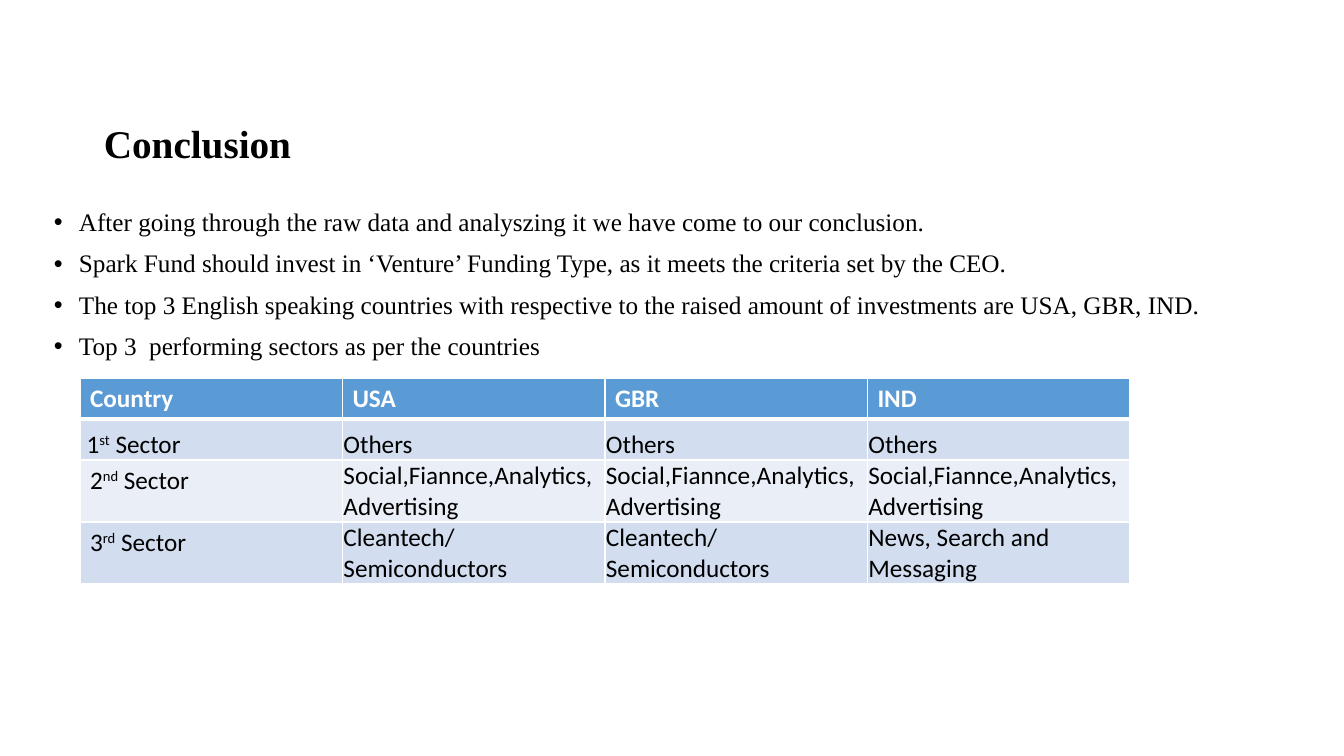
from lxml.etree import SubElement
from pptx import Presentation
from pptx.dml.color import RGBColor
from pptx.enum.text import MSO_ANCHOR
from pptx.oxml.ns import qn
from pptx.util import Emu, Pt

# Content: a paragraph is a list of (text, format) runs
TITLE = [(" ", {"size": 40}), ("Conclusion", {"size": 28})]
FINDINGS = [
    "After going through the raw data and analyszing it we have come to our conclusion.",
    "Spark Fund should invest in ‘Venture’ Funding Type, as it meets the criteria set by the CEO.",
    "The top 3 English speaking countries with respective to the raised amount of investments are USA, GBR, IND.",
    "Top 3  performing sectors as per the countries",
]
COUNTRIES = ["Country", "USA", "GBR", "IND"]
SOCIAL = "Social,Fiannce,Analytics,Advertising"
CLEANTECH = "Cleantech/Semiconductors"
SECTORS = [
    (" 1", "st", ["Others"] * 3),
    ("2", "nd", [SOCIAL] * 3),
    ("3", "rd", [CLEANTECH, CLEANTECH, "News, Search and Messaging"]),
]

# Format
SERIF, SANS = "Times New Roman", "Calibri"
BLACK = RGBColor(0x00, 0x00, 0x00)
WHITE = RGBColor(0xFF, 0xFF, 0xFF)
HEADER_BLUE = RGBColor(0x5B, 0x9B, 0xD5)
BAND_BLUES = [RGBColor(0xD2, 0xDE, 0xEF), RGBColor(0xEA, 0xEF, 0xF7)]

# Layout in pixels
SLIDE_SIZE = (1344, 756)
TITLE_BOX = (80, 93, 1027, 95)
FINDINGS_BOX = (44, 205, 1231, 479)
TABLE_BOX = (80, 378, 1050, 206)
ROW_HEIGHTS = [41, 41, 62, 62]
BULLET_INDENT = 25


def px(pixels):
    return Emu(round(pixels * 914400 / 100.8))


def write(para, text, font=SERIF, size=18, color=BLACK, bold=False, superscript=False):
    span = para.add_run()
    span.text = text
    span.font.name, span.font.size, span.font.bold = font, Pt(size), bold
    span.font.color.rgb = color
    if superscript:
        span._r.get_or_add_rPr().set("baseline", "30000")


def add_box(page, place, anchor):
    frame = page.shapes.add_textbox(*map(px, place)).text_frame
    frame.word_wrap = True
    frame.vertical_anchor = anchor
    return frame


def add_bullet(para):
    properties = para._p.get_or_add_pPr()
    properties.set("marL", str(px(BULLET_INDENT)))
    properties.set("indent", str(-px(BULLET_INDENT)))
    SubElement(properties, qn("a:buFont"), typeface="Arial")
    SubElement(properties, qn("a:buChar"), char="•")


def style_cell(cell, fill, bottom_width, tight):
    properties = cell._tc.get_or_add_tcPr()
    for side, width in {"L": 1, "R": 1, "T": 1, "B": bottom_width}.items():
        line = SubElement(properties, qn(f"a:ln{side}"), w=str(Pt(width)))
        SubElement(SubElement(line, qn("a:solidFill")), qn("a:srgbClr"), val=str(WHITE))
    cell.fill.solid()
    cell.fill.fore_color.rgb = fill
    if tight:
        cell.vertical_anchor = MSO_ANCHOR.BOTTOM
        cell.margin_left = cell.margin_right = cell.margin_top = px(1)
        cell.margin_bottom = 0


deck = Presentation()
deck.slide_width, deck.slide_height = map(px, SLIDE_SIZE)
page = deck.slides.add_slide(deck.slide_layouts[6])

# Findings
frame = add_box(page, FINDINGS_BOX, MSO_ANCHOR.TOP)
for index, finding in enumerate(FINDINGS):
    para = frame.add_paragraph() if index else frame.paragraphs[0]
    para.line_spacing, para.space_before = 0.9, Pt(10)
    add_bullet(para)
    write(para, finding)

# Title
para = add_box(page, TITLE_BOX, MSO_ANCHOR.MIDDLE).paragraphs[0]
para.line_spacing = 0.9
for text, style in TITLE:
    write(para, text, bold=True, **style)

# Sector table
table = page.shapes.add_table(len(SECTORS) + 1, len(COUNTRIES), *map(px, TABLE_BOX)).table
for row, height in zip(table.rows, ROW_HEIGHTS):
    row.height = px(height)
for column in table.columns:
    column.width = px(TABLE_BOX[2] / len(COUNTRIES))

for column, country in enumerate(COUNTRIES):
    cell = table.cell(0, column)
    style_cell(cell, HEADER_BLUE, bottom_width=3, tight=False)
    write(cell.text_frame.paragraphs[0], country, font=SANS, color=WHITE, bold=True)

for row, (number, ending, sectors) in enumerate(SECTORS, start=1):
    rank = [(number, {}), (ending, {"superscript": True}), (" Sector", {})]
    for column, runs in enumerate([rank] + [[(sector, {})] for sector in sectors]):
        cell = table.cell(row, column)
        style_cell(cell, BAND_BLUES[(row - 1) % 2], bottom_width=1, tight=row == 1 or column > 0)
        if row == 1:
            properties = cell._tc.tcPr
            properties.find(qn("a:lnT")).set("w", str(Pt(3)))
        for text, style in runs:
            write(cell.text_frame.paragraphs[0], text, font=SANS, **style)

deck.save("out.pptx")
